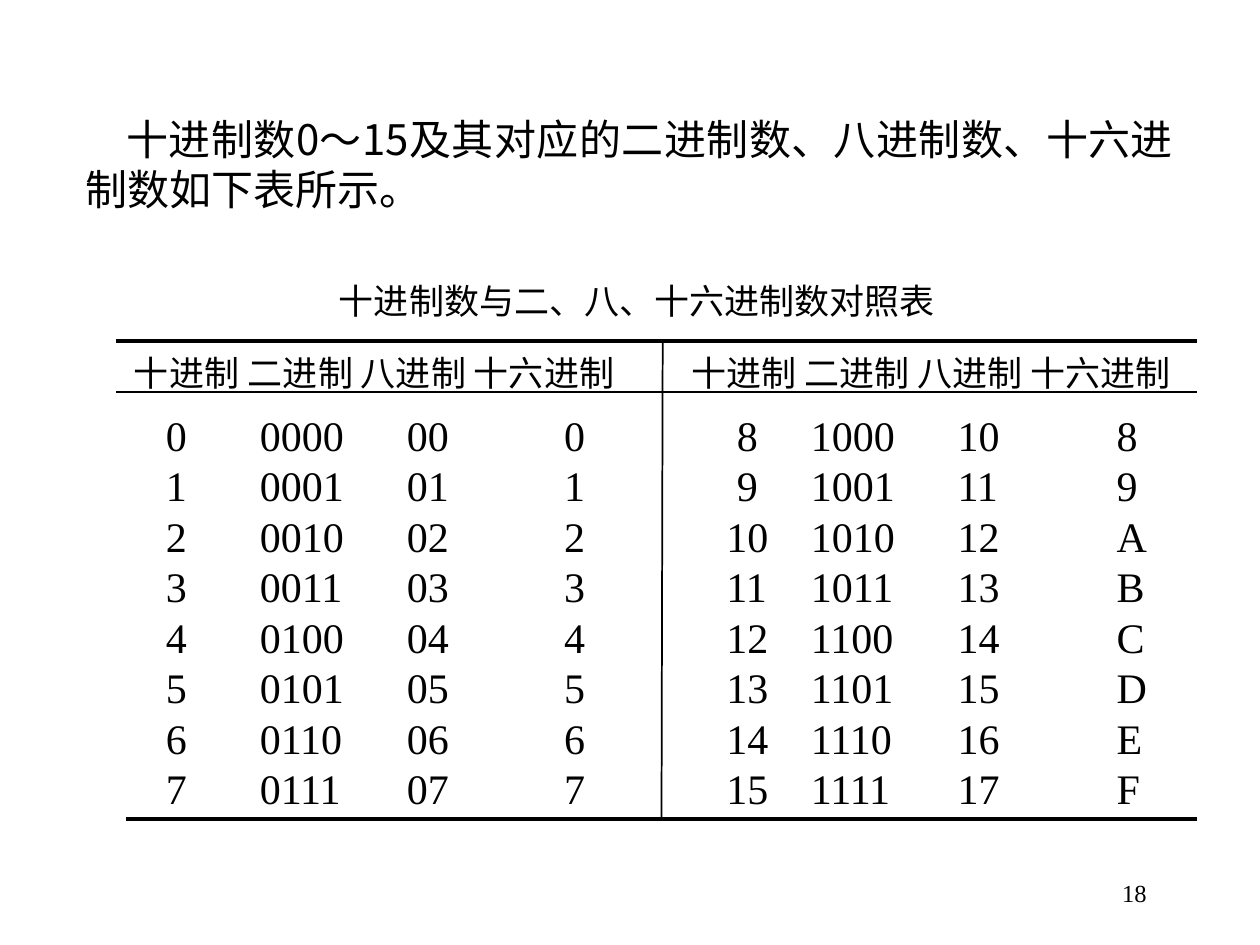
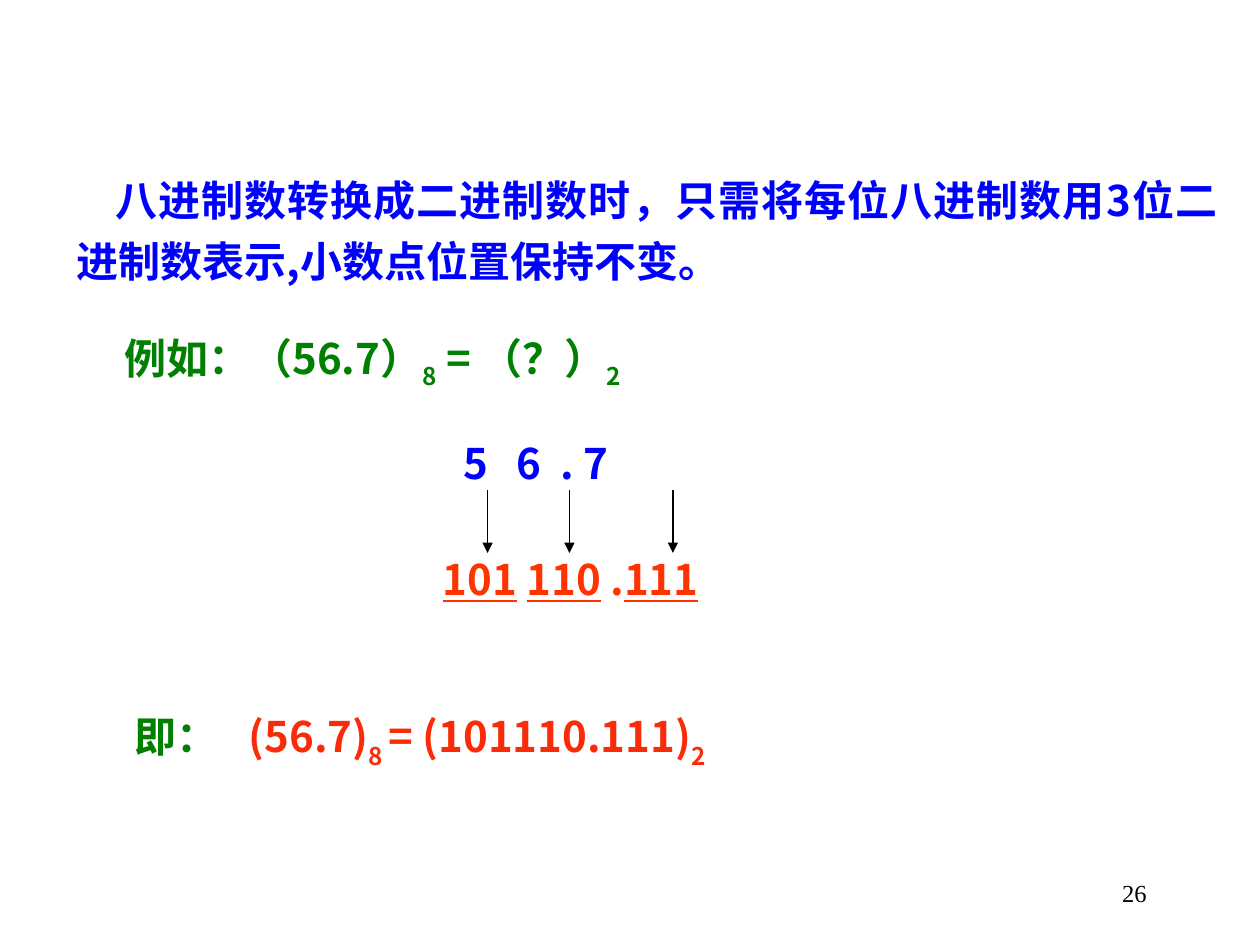
import pptx
import pptx.util
import pptx.dml.color
import pptx.enum.shapes
import pptx.enum.text
import pptx.oxml
import pptx.oxml.ns

Pt = pptx.util.Pt
ALIGN = pptx.enum.text.PP_ALIGN
MIDDLE = pptx.enum.text.MSO_ANCHOR.MIDDLE
qn = pptx.oxml.ns.qn
NAMESPACE = pptx.oxml.ns.nsdecls("a")

COLORS = {"black": "000000", "blue": "0000FF", "green": "008000",
          "orange": "FF3300", "red": "FA2B08"}
CHINESE = {"name": "Noto Sans CJK SC", "size": Pt(24)}
CAPTION = {**CHINESE, "size": Pt(20)}
STRONG = {**CHINESE, "bold": True}
UNDERLINED = {**STRONG, "underline": True}
DIGITS = {"name": "Times New Roman", "size": Pt(24)}
PAGE_NUMBER = {**DIGITS, "size": Pt(14)}


def add_text(frame, runs, align=ALIGN.JUSTIFY, indent=0, margin=0, spacing=None):
    """Each run is (text, color, format) and, if needed, a dict of run attributes."""
    frame.word_wrap = True
    paragraph = frame.paragraphs[0]
    properties = paragraph._p.get_or_add_pPr()
    properties.set("marL", str(Pt(margin)))
    properties.set("indent", str(Pt(indent)))
    paragraph.alignment = align
    paragraph.line_spacing = spacing
    for text, color, style, *extras in runs:
        run = paragraph.add_run()
        run.text = text
        for key, value in style.items():
            setattr(run.font, key, value)
        run.font.color.rgb = pptx.dml.color.RGBColor.from_string(COLORS[color])
        properties = run._r.get_or_add_rPr()
        properties.append(pptx.oxml.parse_xml(f'<a:ea {NAMESPACE} typeface="{style["name"]}"/>'))
        for extra in extras:
            for key, value in extra.items():
                properties.set(key, str(value))
    return frame


def add_line(slide, start, end, width):
    line = slide.shapes.add_connector(pptx.enum.shapes.MSO_CONNECTOR.STRAIGHT,
                                      *map(Pt, start + end))
    line.line.width = Pt(width)
    line.line.color.rgb = pptx.dml.color.RGBColor.from_string(COLORS["black"])
    line._element.spPr.append(pptx.oxml.parse_xml(f"<a:effectLst {NAMESPACE}/>"))
    return line


deck = pptx.Presentation()
deck.slide_width, deck.slide_height = Pt(720), Pt(540)

# Both slides with their page numbers
slides = []
for number in ("18", "26"):
    slide = deck.slides.add_slide(deck.slide_layouts[6])
    page = slide.shapes.add_textbox(Pt(516.2), Pt(492), Pt(150), Pt(36)).text_frame
    add_text(page, [(number, "black", PAGE_NUMBER)], ALIGN.RIGHT)
    page.vertical_anchor = MIDDLE
    page.margin_right = Pt(10.9)
    slides.append(slide)
comparison, conversion = slides

# Slide 1: table of 0-7 on the left and 8-15 on the right
headings = ["十进制", "二进制", "八进制", "十六进制"]
column_edges = [66.2, 141.7, 206.3, 270.9, 378.5, 460, 524.6, 589.1, 684]
heading_starts = [76.6, 141.7, 206.3, 270.9, 395, 460, 524.6, 589.1]
digit_starts = [94.8, 148.5, 232.5, 322.5, 415.2, 463.5, 547.3, 638.3]
row_height, heading_drop, first_gap, last_gap = 28.8, 2.4, 11.5, 3
rows = [headings * 2]
for value in range(8):
    rows.append([form for n in (value, value + 8)
                 for form in (f"{n}", f"{n:04b}", f"{n:02o}", f"{n:X}")])

grid = comparison.shapes.add_table(9, 8, Pt(column_edges[0]), Pt(195.1),
                                   Pt(617.8), Pt(273.7)).table
grid.first_row = grid.horz_banding = False
grid._tbl.tblPr.find(qn("a:tableStyleId")).text = "{2D5ABB26-0587-4C30-8999-92F81FD0307C}"
for column, left, right in zip(grid.columns, column_edges, column_edges[1:]):
    column.width = Pt(right - left)
for r, row in enumerate(rows):
    top_gap = {0: heading_drop, 1: first_gap}.get(r, 0)
    bottom_gap = last_gap if r == 8 else 0
    grid.rows[r].height = Pt(row_height + bottom_gap + (top_gap if r else 0))
    for c, text in enumerate(row):
        start = digit_starts[c] if r else heading_starts[c]
        if c == 4 and r and len(text) == 1:
            start += 6
        cell = grid.cell(r, c)
        layout = {"margin_left": Pt(start - column_edges[c]), "margin_right": 0,
                  "margin_top": Pt(top_gap), "margin_bottom": Pt(bottom_gap),
                  "vertical_anchor": MIDDLE}
        for key, value in layout.items():
            setattr(cell, key, value)
        cell.fill.background()
        add_text(cell.text_frame, [(text, "black", DIGITS if r else CAPTION)], ALIGN.LEFT)

# Slide 1: rules of the table
for start, end, width in [((66.2, 195.1), (684, 195.1), 2.25),
                          ((66.2, 223.9), (684, 223.9), 1),
                          ((72, 468), (684, 468), 2.25),
                          ((378.7, 195.1), (378, 468), 1)]:
    add_line(comparison, start, end, width)

# Slide 2: arrows from each octal digit to its three binary digits
for x in (278.6, 325.4, 384.5):
    arrow = add_line(conversion, (x, 280), (x, 316), 0.75)
    arrow.line._get_or_add_ln().append(
        pptx.oxml.parse_xml(f'<a:tailEnd {NAMESPACE} type="triangle"/>'))

# Text of both slides: introduction, caption; rule, question, digits, result
wide_gap, medium_gap = {"spc": 1080}, {"spc": 540}
question_base, result_base = {"baseline": -25000}, {"baseline": -30000}
passages = [
    (comparison, (41.8, 61.2, 635.8, 64.8), {"indent": 23.2},
     [("十进制数0～15及其对应的二进制数、八进制数、十六进制数如下表所示。", "black", CHINESE)]),
    (comparison, (100, 156.2, 528, 31), {"align": ALIGN.CENTER},
     [("十进制数与二、八、十六进制数对照表", "black", CAPTION)]),
    (conversion, (36.7, 90.7, 666, 76.3), {"indent": 22, "spacing": 1.2},
     [("八进制数转换成二进制数时，只需将每位八进制数用3位二进制数表示,小数点位置保持不变。",
       "blue", STRONG)]),
    (conversion, (42.5, 186.5, 635.8, 36), {"indent": 21.5},
     [("例如：（56.7）", "green", STRONG), ("8", "green", STRONG, question_base),
      (" = （？）", "green", STRONG), ("2", "green", STRONG, question_base)]),
    (conversion, (252.7, 246.6, 257.8, 36), {"indent": 5},
     [("5", "blue", STRONG), (" ", "blue", STRONG, wide_gap), ("6", "blue", STRONG),
      (" ", "blue", STRONG, medium_gap), (". 7", "blue", STRONG)]),
    (conversion, (240.5, 312.5, 257.8, 36), {"indent": 5.4},
     [("101", "orange", UNDERLINED), (" ", "orange", STRONG), ("110", "orange", UNDERLINED),
      (" .", "orange", STRONG), ("111", "orange", UNDERLINED)]),
    (conversion, (48.2, 402.5, 635.8, 36), {"margin": 86.9, "indent": -65.4},
     [("即：\t", "green", STRONG), ("(56.7)", "red", STRONG), ("8 ", "red", STRONG, result_base),
      ("= (101110.111)", "red", STRONG), ("2", "red", STRONG, result_base)]),
]
for slide, place, layout, runs in passages:
    add_text(slide.shapes.add_textbox(*map(Pt, place)).text_frame, runs, **layout)

deck.save("out.pptx")
